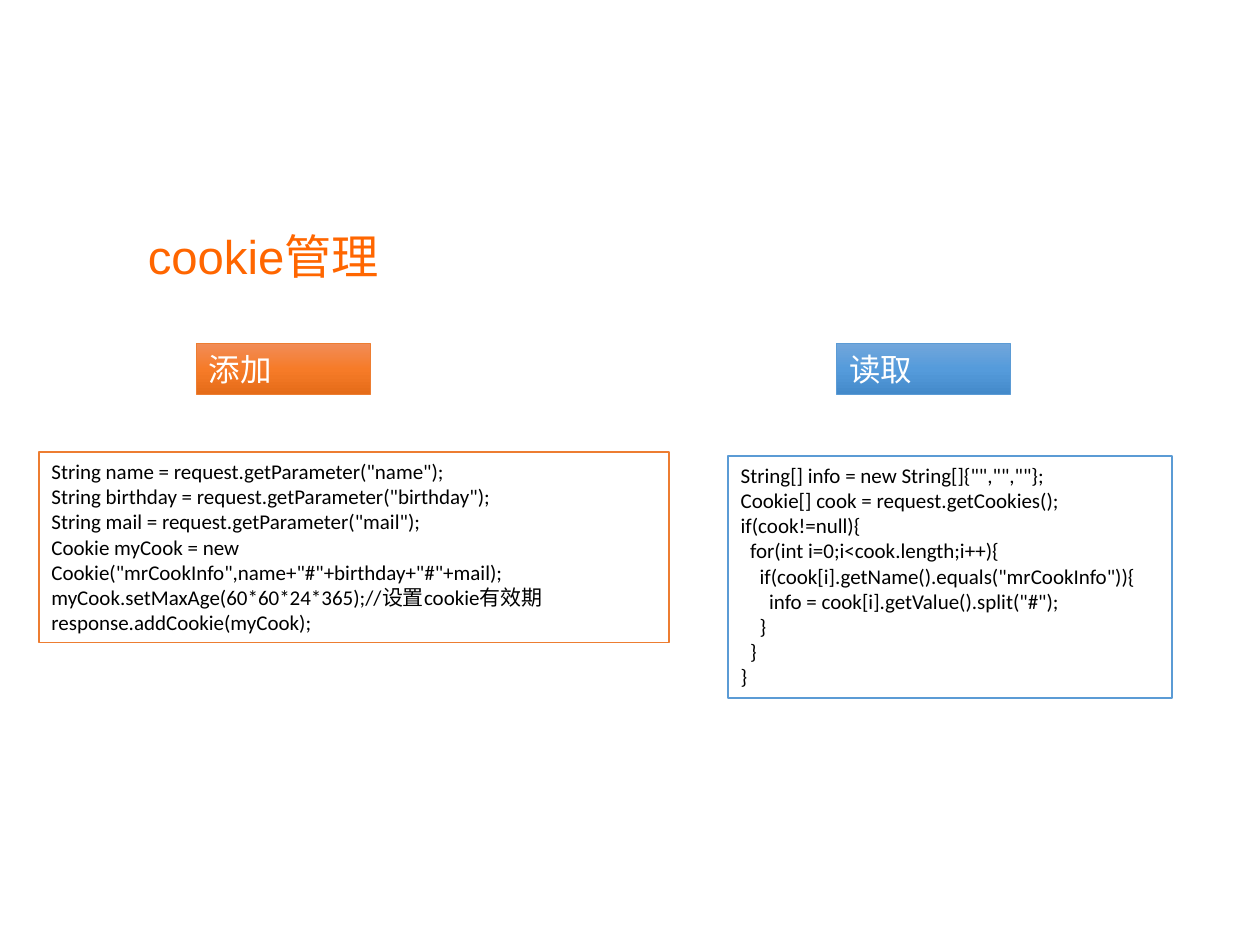
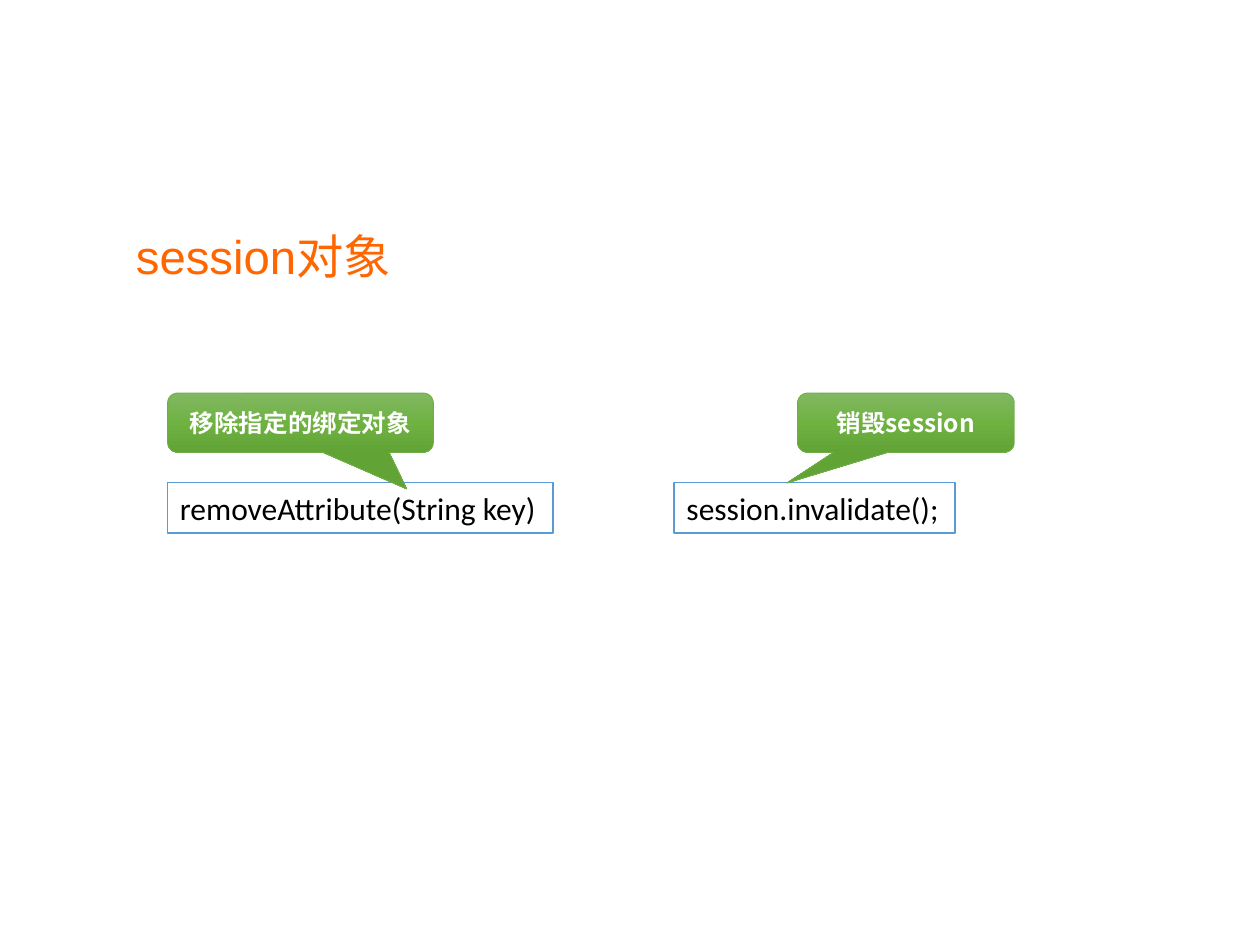
from copy import deepcopy
from pptx import Presentation
from pptx.dml.color import RGBColor
from pptx.enum import shapes, text
from pptx.oxml.ns import qn
from pptx.util import Inches, Pt
from lxml import etree

WHITE, BLACK, TITLE = "FFFFFF", "000000", "FF6600"
BLUE, ORANGE, GREEN = "5B9BD5", "ED7D31", "70AD47"
SHADES = {
    BLUE: ("71A6DB", "559BDB", "448ACA"),
    ORANGE: ("F18C57", "F67B28", "E56C19"),
    GREEN: ("81B861", "6FB242", "62A336"),
}
CJK = "Noto Sans CJK SC"
RECT = shapes.MSO_SHAPE.RECTANGLE
CALLOUT = shapes.MSO_SHAPE.ROUNDED_RECTANGULAR_CALLOUT
LEFT, MID = text.PP_ALIGN.LEFT, text.PP_ALIGN.CENTER

READ = [
    'String[] info = new String[]{"","",""};',
    "Cookie[] cook = request.getCookies();",
    "if(cook!=null){",
    "  for(int i=0;i<cook.length;i++){",
    '    if(cook[i].getName().equals("mrCookInfo")){',
    '      info = cook[i].getValue().split("#");',
    "    }",
    "  }",
    "}",
]
ADD = [
    'String name = request.getParameter("name");',
    'String birthday = request.getParameter("birthday");',
    'String mail = request.getParameter("mail");',
    'Cookie myCook = new Cookie("mrCookInfo",name+"#"+birthday+"#"+mail);',
    "myCook.setMaxAge(60*60*24*365);//设置cookie有效期",
    "response.addCookie(myCook);",
]
CODES = [(READ, (5.78, 3.62, 3.52, 1.92), BLUE), (ADD, (0.31, 3.59, 5, 1.51), ORANGE)]
LABELS = [("添加", 1.56, ORANGE), ("读取", 6.64, BLUE)]
CALLS = [("removeAttribute(String key)", 1.33, 3.06), ("session.invalidate();", 5.35, 2.23)]
NOTES = [
    ("移除指定的绑定对象", 1.33, 2.11, (0.4, 1.12, 0.17)),
    ("销毁session", 6.33, 1.72, (-0.55, 1.02, 0.17)),
]


def color(code):
    return RGBColor.from_string(code)


def write(frame, lines, size, ink, font="Calibri", align=LEFT, bold=False):
    for i, line in enumerate(lines):
        para = frame.paragraphs[0] if i == 0 else frame.add_paragraph()
        para.alignment = align
        run = para.add_run()
        run.text = line
        run.font.size, run.font.name, run.font.bold = Pt(size), font, bold
        run.font.color.rgb = color(ink)
        east = etree.SubElement(run.font._element, qn("a:ea"))
        east.set("typeface", CJK)


def shade(fill, shape, tones):
    fill.gradient()
    fill.gradient_angle = 270
    stops = shape._element.spPr.find(".//" + qn("a:gsLst"))
    stops.insert(1, deepcopy(stops[0]))
    for stop, tone, place in zip(fill.gradient_stops, tones, (0, 0.5, 1)):
        stop.color.rgb = color(tone)
        stop.position = place


def add_box(slide, kind, at, edge, shaded=False):
    shape = slide.shapes.add_shape(kind, *map(Inches, at))
    shape.shadow.inherit = False
    if shaded:
        shade(shape.fill, shape, SHADES[edge])
    else:
        shape.fill.solid()
        shape.fill.fore_color.rgb = color(WHITE)
    shape.line.color.rgb = color(edge)
    shape.line.width = Pt(0.5 if shaded else 1)
    return shape


def add_panel(slide, lines, at, edge, size, ink=BLACK, wrap=True, shaded=False):
    frame = add_box(slide, RECT, at, edge, shaded).text_frame
    frame.word_wrap = wrap
    frame.auto_size = text.MSO_AUTO_SIZE.SHAPE_TO_FIT_TEXT
    frame.vertical_anchor = text.MSO_ANCHOR.TOP
    write(frame, lines, size, ink)


def add_note(slide, label, left, width, tail):
    shape = add_box(slide, CALLOUT, (left, 3.12, width, 0.47), GREEN, True)
    for i, value in enumerate(tail):
        shape.adjustments[i] = value
    frame = shape.text_frame
    frame.word_wrap = True
    frame.vertical_anchor = text.MSO_ANCHOR.MIDDLE
    write(frame, [label], 14, WHITE, CJK, MID, True)


def add_slide(deck, name):
    slide = deck.slides.add_slide(deck.slide_layouts[5])
    title = slide.shapes.title
    title.left, title.top, title.width, title.height = map(Inches, (0.74, 1.64, 2.7, 0.77))
    frame = title.text_frame
    frame.word_wrap = True
    frame.auto_size = text.MSO_AUTO_SIZE.NONE
    frame.vertical_anchor = text.MSO_ANCHOR.MIDDLE
    frame.margin_left = frame.margin_right = Inches(0.07)
    frame.margin_top = frame.margin_bottom = Inches(0.04)
    write(frame, [name], 27, TITLE, "Arial", MID)
    return slide


def main():
    deck = Presentation()
    deck.slide_width, deck.slide_height = Inches(10), Inches(7.5)

    cookie = add_slide(deck, "cookie管理")
    for lines, at, edge in CODES:
        add_panel(cookie, lines, at, edge, 12)
    for label, left, edge in LABELS:
        add_panel(cookie, [label], (left, 2.73, 1.38, 0.4), edge, 18, WHITE, shaded=True)

    session = add_slide(deck, "session对象")
    for call, left, width in CALLS:
        add_panel(session, [call], (left, 3.83, width, 0.4), BLUE, 18, wrap=False)
    for note in NOTES:
        add_note(session, *note)

    deck.save("out.pptx")


if __name__ == "__main__":
    main()
